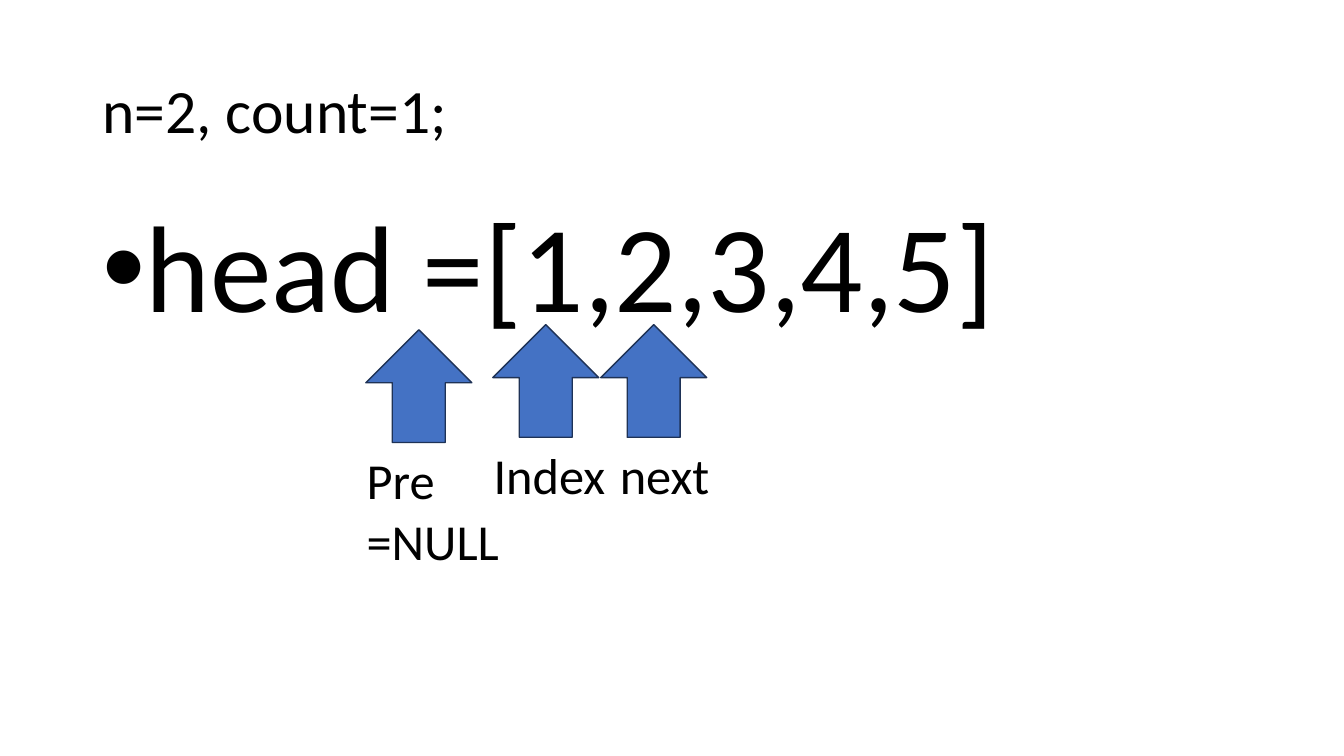
"""Build a slide that shows three pointers walking along a linked list."""
from dataclasses import dataclass

from lxml import etree
from pptx import Presentation
from pptx.dml.color import RGBColor
from pptx.enum import shapes, text
from pptx.oxml import ns
from pptx.util import Cm, Pt

FONT = "Calibri"
BLACK, BLUE, NAVY = "000000", "4472C4", "1E3256"
ARROW_W, ARROW_H, LABEL_DROP = 2.67, 2.84, 2.89
LEFT, WIDTH = 2.33, 29.21


@dataclass
class Pointer:
    lines: list[str]
    left: float
    top: float
    label_left: float
    label_width: float


POINTERS = [
    Pointer(["Index"], 12.42, 8.18, 12.19, 3.35),
    Pointer(["Pre", "=NULL"], 9.22, 8.31, 8.99, 3.89),
    Pointer(["next"], 15.14, 8.18, 15.37, 2.79),
]


def color(value: str) -> RGBColor:
    return RGBColor.from_string(value)


def add_text(s, box: tuple, lines: list[str], size: int, wrap: bool = True):
    """Add a text box with one paragraph for each line."""
    sp = s.shapes.add_textbox(*(Cm(v) for v in box))
    tf = sp.text_frame
    tf.word_wrap = wrap
    for i, line in enumerate(lines):
        p = tf.paragraphs[0] if i == 0 else tf.add_paragraph()
        r = p.add_run()
        r.text = line
        r.font.name, r.font.size = FONT, Pt(size)
        r.font.color.rgb = color(BLACK)
    return tf


def add_bullet(p, indent: float) -> None:
    """Give a paragraph a hanging round bullet."""
    ppr = p._p.get_or_add_pPr()
    ppr.set("marL", str(Cm(indent)))
    ppr.set("indent", str(-Cm(indent)))
    etree.SubElement(ppr, ns.qn("a:buFont")).set("typeface", "Arial")
    etree.SubElement(ppr, ns.qn("a:buChar")).set("char", "•")


def add_pointer(s, item: Pointer) -> None:
    """Draw an up arrow with its label below."""
    box = (item.label_left, item.top + LABEL_DROP,
           item.label_width, 0.26 + 1.53 * len(item.lines))
    tf = add_text(s, box, item.lines, 36, wrap=False)
    tf.auto_size = text.MSO_AUTO_SIZE.SHAPE_TO_FIT_TEXT
    sp = s.shapes.add_shape(shapes.MSO_SHAPE.UP_ARROW, Cm(item.left),
                            Cm(item.top), Cm(ARROW_W), Cm(ARROW_H))
    sp.shadow.inherit = False
    sp.fill.solid()
    sp.fill.fore_color.rgb = color(BLUE)
    sp.line.color.rgb = color(NAVY)
    sp.line.width = Pt(1)


def main() -> None:
    prs = Presentation()
    prs.slide_width, prs.slide_height = Cm(33.87), Cm(19.05)
    s = prs.slides.add_slide(prs.slide_layouts[6])

    tf = add_text(s, (LEFT, 1.02, WIDTH, 3.68), ["n=2, count=1;"], 44)
    tf.vertical_anchor = text.MSO_ANCHOR.MIDDLE
    tf.paragraphs[0].line_spacing = 0.9

    tf = add_text(s, (LEFT, 5.08, WIDTH, 5.16), ["head =[1,2,3,4,5]"], 88)
    add_bullet(tf.paragraphs[0], 0.64)
    tf.paragraphs[0].line_spacing = 0.9

    for item in POINTERS:
        add_pointer(s, item)
    prs.save("out.pptx")


if __name__ == "__main__":
    main()
